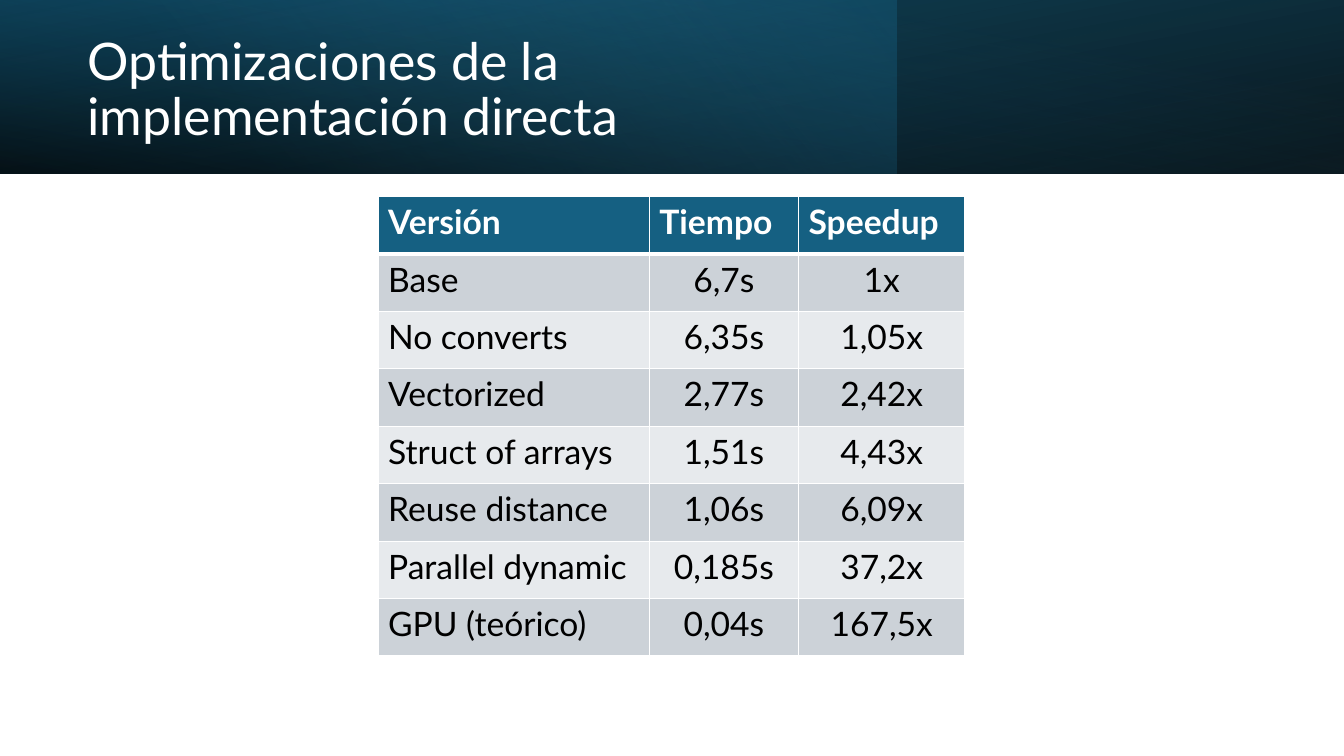
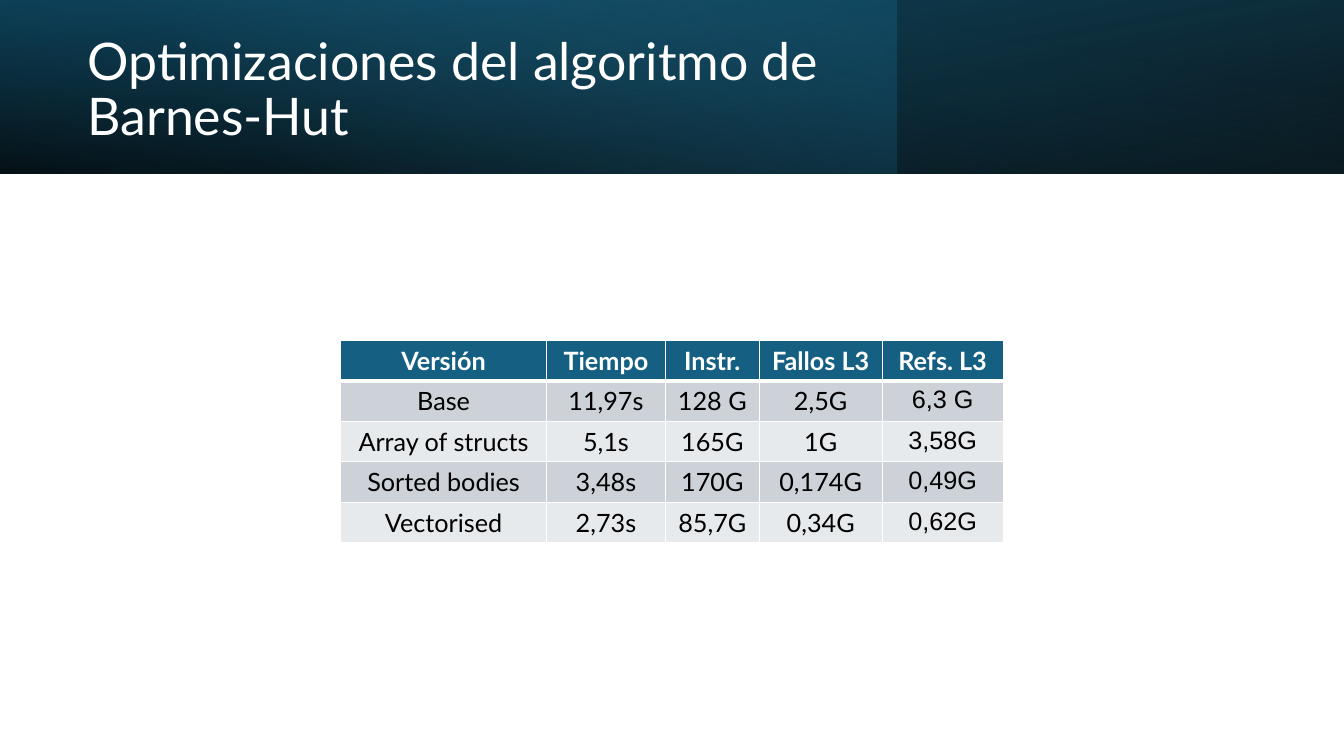
from pptx import Presentation
from pptx.dml.color import RGBColor
from pptx.enum.shapes import MSO_SHAPE
from pptx.enum.text import MSO_ANCHOR, PP_ALIGN
from pptx.oxml import parse_xml
from pptx.oxml.ns import nsdecls
from pptx.util import Emu, Pt

PX = 9144
WIDTH, HEIGHT, BAND_HEIGHT = 1333, 750, 172
WHITE, BLACK, TEAL = "FFFFFF", "000000", "156082"
STRIPES = ["CCD2D8", "E7EAED"]
LEFT, CENTER = PP_ALIGN.LEFT, PP_ALIGN.CENTER

BANDS = [
    {"width": WIDTH, "rotation": 180, "flip": True, "angle": 100,
     "stops": [(0, BLACK, 96), (100, "104862", 100)]},
    {"width": 889, "rotation": 0, "flip": False, "angle": 140,
     "stops": [(0, TEAL, 41), (74, "46B1E1", 0)]},
    {"width": WIDTH, "rotation": 0, "flip": True, "angle": 260,
     "stops": [(0, BLACK, 63), (78, TEAL, 15)]},
]
TITLE_BOX = (77, 27, 772, 127)

SLIDES = [
    {
        "title": "Optimizaciones de la implementación directa",
        "origin": (375, 195), "columns": [269, 148, 165], "row_height": 57,
        "size": 24, "header_align": [LEFT] * 3,
        "body_align": [LEFT, CENTER, CENTER], "body_fonts": ["Lato"] * 3,
        "rows": [
            ("Versión", "Tiempo", "Speedup"),
            ("Base", "6,7s", "1x"),
            ("No converts", "6,35s", "1,05x"),
            ("Vectorized", "2,77s", "2,42x"),
            ("Struct of arrays", "1,51s", "4,43x"),
            ("Reuse distance", "1,06s", "6,09x"),
            ("Parallel dynamic", "0,185s", "37,2x"),
            ("GPU (teórico)", "0,04s", "167,5x"),
        ],
    },
    {
        "title": "Optimizaciones del algoritmo de Barnes-Hut",
        "origin": (338, 338), "columns": [204, 118, 93, 122, 120], "row_height": 40,
        "size": 18, "header_align": [CENTER] * 5,
        "body_align": [CENTER] * 5, "body_fonts": ["Lato"] * 4 + ["Arial"],
        "rows": [
            ("Versión", "Tiempo", "Instr.", "Fallos L3", "Refs. L3"),
            ("Base", "11,97s", "128 G", "2,5G", "6,3 G"),
            ("Array of structs", "5,1s", "165G", "1G", "3,58G"),
            ("Sorted bodies", "3,48s", "170G", "0,174G", "0,49G"),
            ("Vectorised", "2,73s", "85,7G", "0,34G", "0,62G"),
        ],
    },
]


def px(*lengths):
    return [Emu(length * PX) for length in lengths]


def color(value):
    return RGBColor.from_string(value)


def write(para, text, ink, **font_values):
    span = para.add_run()
    span.text = text
    span.font.color.rgb = color(ink)
    for name, value in font_values.items():
        setattr(span.font, name, value)


def add_band(page, band):
    shape = page.shapes.add_shape(MSO_SHAPE.RECTANGLE, *px(0, 0, band["width"], BAND_HEIGHT))
    shape.rotation = band["rotation"]
    properties = shape._element.spPr
    if band["flip"]:
        properties.find("{*}xfrm").set("flipH", "1")
    stops = "".join(
        f'<a:gs pos="{position * 1000}"><a:srgbClr val="{tint}">'
        f'<a:alpha val="{alpha * 1000}"/></a:srgbClr></a:gs>'
        for position, tint, alpha in band["stops"])
    properties.insert(2, parse_xml(
        f'<a:gradFill {nsdecls("a")}><a:gsLst>{stops}</a:gsLst>'
        f'<a:lin ang="{band["angle"] * 60000}" scaled="0"/></a:gradFill>'))
    shape.line.fill.background()
    shape.shadow.inherit = False


def add_title(page, text):
    frame = page.shapes.add_textbox(*px(*TITLE_BOX)).text_frame
    frame.word_wrap = True
    frame.vertical_anchor = MSO_ANCHOR.MIDDLE
    para = frame.paragraphs[0]
    para.line_spacing = 0.9
    write(para, text, WHITE, name="Lato", size=Pt(37))


def add_borders(cell, row):
    widths = {"L": 1, "R": 1, "T": 3 if row == 1 else 1, "B": 3 if row == 0 else 1}
    for side, width in widths.items():
        cell._tc.get_or_add_tcPr().append(parse_xml(
            f'<a:ln{side} {nsdecls("a")} w="{Pt(width)}"><a:solidFill>'
            f'<a:srgbClr val="{WHITE}"/></a:solidFill></a:ln{side}>'))


def add_results(page, content):
    rows, columns = content["rows"], content["columns"]
    size = (sum(columns), content["row_height"] * len(rows))
    table = page.shapes.add_table(
        len(rows), len(columns), *px(*content["origin"], *size)).table
    table.first_row = table.horz_banding = False
    for column, width in zip(table.columns, px(*columns)):
        column.width = width
    for i, values in enumerate(rows):
        header = i == 0
        aligns = content["header_align" if header else "body_align"]
        for j, value in enumerate(values):
            cell = table.cell(i, j)
            add_borders(cell, i)
            cell.fill.solid()
            cell.fill.fore_color.rgb = color(TEAL if header else STRIPES[(i - 1) % 2])
            para = cell.text_frame.paragraphs[0]
            para.alignment = aligns[j]
            write(para, value, WHITE if header else BLACK, bold=header,
                  name="Lato" if header else content["body_fonts"][j],
                  size=Pt(content["size"]))


def main():
    deck = Presentation()
    deck.slide_width, deck.slide_height = px(WIDTH, HEIGHT)
    for content in SLIDES:
        page = deck.slides.add_slide(deck.slide_layouts[6])
        for band in BANDS:
            add_band(page, band)
        add_title(page, content["title"])
        add_results(page, content)
    deck.save("out.pptx")


if __name__ == "__main__":
    main()
